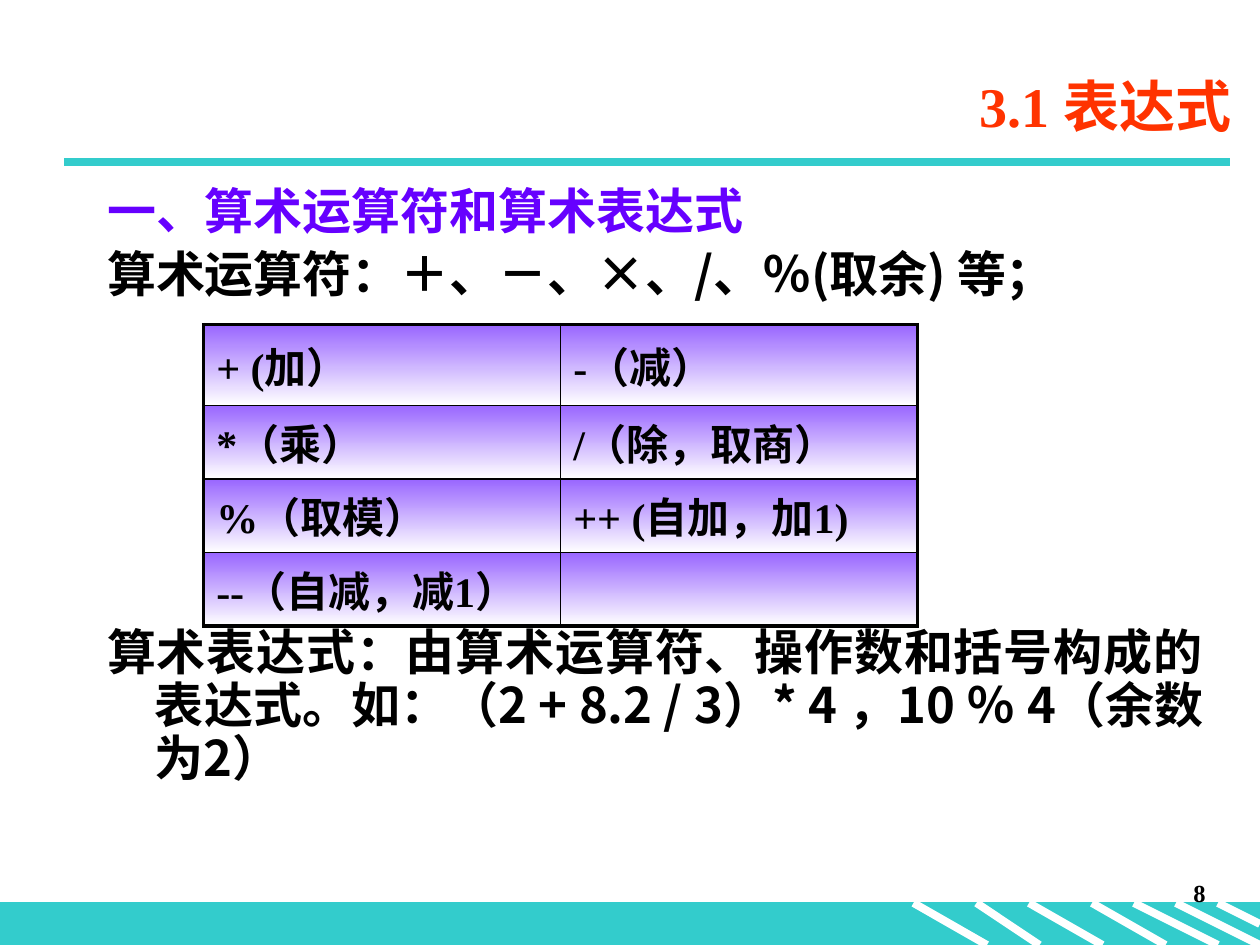
"""Build the slide on arithmetic operators and arithmetic expressions."""
from lxml import etree
from pptx import Presentation
from pptx.dml.color import RGBColor
from pptx.enum.shapes import MSO_CONNECTOR, MSO_SHAPE
from pptx.enum.text import MSO_ANCHOR, MSO_AUTO_SIZE, PP_ALIGN
from pptx.oxml.ns import qn
from pptx.util import Inches, Pt

STRAIGHT, RECTANGLE = MSO_CONNECTOR.STRAIGHT, MSO_SHAPE.RECTANGLE
LEFT, RIGHT, JUSTIFY = PP_ALIGN.LEFT, PP_ALIGN.RIGHT, PP_ALIGN.JUSTIFY
TOP, MIDDLE, NO_FIT = MSO_ANCHOR.TOP, MSO_ANCHOR.MIDDLE, MSO_AUTO_SIZE.NONE

THEME = {
    "teal": "33CCCC", "white": "FFFFFF", "black": "000000",
    "orange": "FF3300", "violet": "6600FF", "lilac": "9966FF",
    "serif": "Times New Roman", "sans": "Noto Sans CJK SC",
    "title": 32, "body": 28, "cell": 24, "number": 14,
    "rule": 4.5, "frame": 2.25, "grid": 1,
}

deck = Presentation()
deck.slide_width, deck.slide_height = Inches(10), Inches(7.5)
COLUMN, ROW = deck.slide_width / 120, deck.slide_height / 90
page = deck.slides.add_slide(deck.slide_layouts[1])


def write(para, text, size, color, face, **layout):
    """Add one bold span to a paragraph and apply its layout values."""
    for name, value in layout.items():
        setattr(para, name, value)
    span = para.add_run()
    span.text = text
    style = {"size": Pt(THEME[size]), "bold": True, "name": THEME[face]}
    for name, value in style.items():
        setattr(span.font, name, value)
    span.font.color.rgb = RGBColor.from_string(THEME[color])
    etree.SubElement(span.font._element, qn("a:ea")).set("typeface", THEME["sans"])


def draw_line(start, end, color):
    """Draw a thick line between two grid points."""
    line = page.shapes.add_connector(
        STRAIGHT, *(int(n * unit) for point in (start, end)
                    for n, unit in zip(point, (COLUMN, ROW))))
    line.line.color.rgb = RGBColor.from_string(THEME[color])
    line.line.width = Pt(THEME["rule"])
    etree.SubElement(line._element.spPr, qn("a:effectLst"))


band = page.shapes.add_shape(
    RECTANGLE, 0, int(86 * ROW), deck.slide_width, int(4 * ROW))
band.shadow.inherit = False
band.fill.solid()
for paint in (band.fill.fore_color, band.line.color):
    paint.rgb = RGBColor.from_string(THEME["teal"])
band.line.width = Pt(0.75)

STRIPES = [(87, 94, 90), (93, 99, 90), (98, 105, 90), (104, 111, 90),
           (108, 116, 90), (112, 120, 90), (116, 120, 88)]
for start, end, bottom in STRIPES:
    draw_line((start, 86), (end, bottom), "white")
draw_line((6.1, 15.45), (117.1, 15.45), "teal")

title, body = page.shapes.title, page.placeholders[1]
number = page.shapes.add_textbox(0, 0, 0, 0)
BOXES = [(title, (16.5, 5.25, 102, 9.5), MIDDLE),
         (body, (9, 17.25, 106.8, 26.75), TOP),
         (number, (91, 83, 25, 6), TOP)]
for box, area, anchor in BOXES:
    for name, share, unit in zip(("left", "top", "width", "height"),
                                 area, (COLUMN, ROW) * 2):
        setattr(box, name, int(share * unit))
    settings = {"word_wrap": True, "auto_size": NO_FIT, "vertical_anchor": anchor}
    for name, value in settings.items():
        setattr(box.text_frame, name, value)

write(title.text_frame.paragraphs[0], "3.1 表达式", "title", "orange", "serif",
      alignment=RIGHT)
write(number.text_frame.paragraphs[0], "8", "number", "black", "serif",
      alignment=RIGHT)

LINES = [
    ("一、算术运算符和算术表达式", "violet", "serif", LEFT, 0),
    ("算术运算符：＋、－、×、/、％(取余) 等；", "black", "sans", JUSTIFY, 5.6),
    ("算术表达式：由算术运算符、操作数和括号构成的表达式。"
     "如：（2 + 8.2 / 3）* 4 ，10 ％ 4（余数为2）", "black", "sans", JUSTIFY, 186),
]
for index, (text, color, face, alignment, gap) in enumerate(LINES):
    frame = body.text_frame
    para = frame.add_paragraph() if index else frame.paragraphs[0]
    properties = para._p.get_or_add_pPr()
    properties.set("marL", str(Inches(0.38)))
    properties.set("indent", str(-Inches(0.38)))
    etree.SubElement(properties, qn("a:buNone"))
    write(para, text, "body", color, face, alignment=alignment,
          line_spacing=0.9, space_before=Pt(gap))

OPERATORS = [("+ (加）", "-（减）"), ("*（乘）", "/（除，取商）"),
             ("%（取模）", "++ (自加，加1)"), ("--（自减，减1）", "")]
HEIGHTS = [7.7, 7, 7, 7]
table = page.shapes.add_table(
    4, 2, int(19.4 * COLUMN), int(30.9 * ROW),
    int(68 * COLUMN), int(sum(HEIGHTS) * ROW)).table
for row, (height, texts) in enumerate(zip(HEIGHTS, OPERATORS)):
    table.rows[row].height = int(height * ROW)
    for column, text in enumerate(texts):
        cell = table.cell(row, column)
        cell.vertical_anchor = MIDDLE
        write(cell.text_frame.paragraphs[0], text, "cell", "black", "serif")
        edges = {"L": column == 0, "R": column == 1, "T": row == 0, "B": row == 3}
        for side, outer in edges.items():
            border = etree.SubElement(cell._tc.get_or_add_tcPr(), qn(f"a:ln{side}"))
            border.set("w", str(Pt(THEME["frame" if outer else "grid"])))
            ink = etree.SubElement(border, qn("a:solidFill"))
            etree.SubElement(ink, qn("a:srgbClr")).set("val", THEME["black"])
        cell.fill.gradient()
        cell.fill.gradient_angle = 270
        for stop, color, position in zip(cell.fill.gradient_stops,
                                         ("lilac", "white"), (0, 1)):
            stop.color.rgb = RGBColor.from_string(THEME[color])
            stop.position = position

deck.save("out.pptx")
